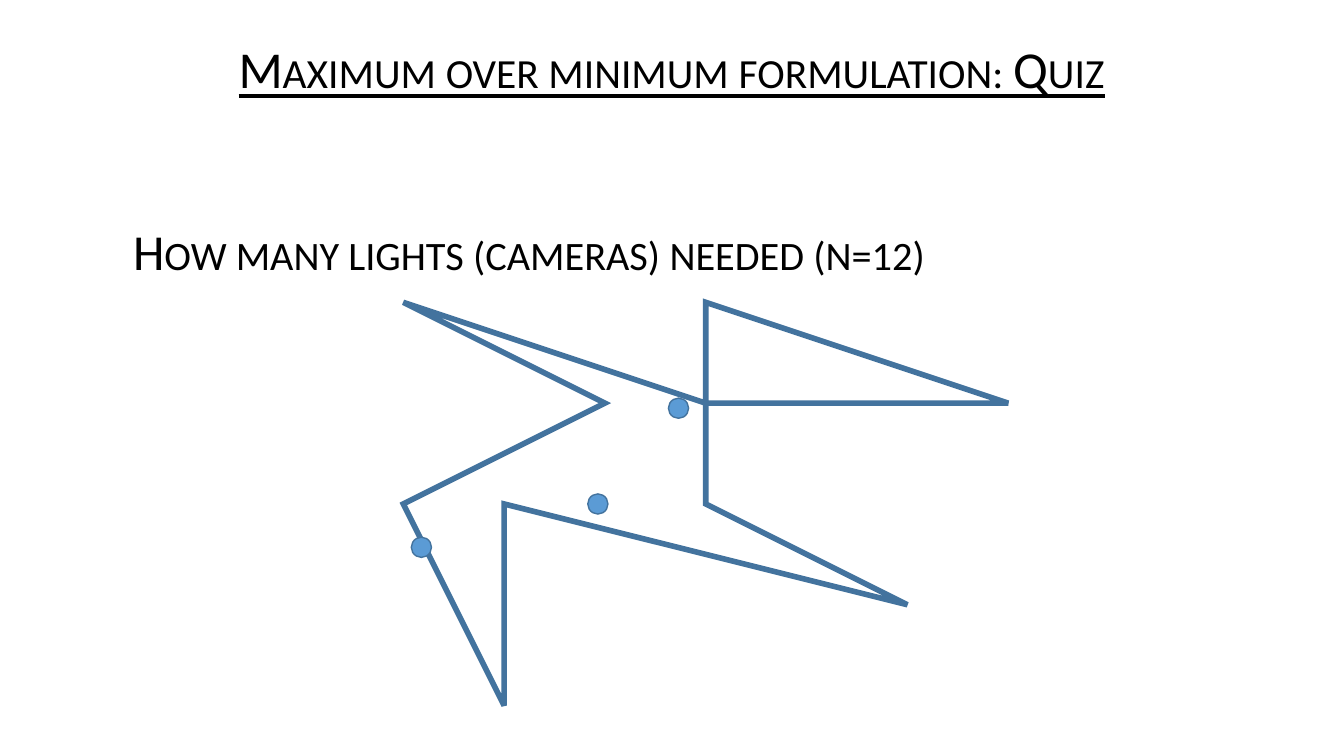
from lxml import etree
from pptx import Presentation, util as u
from pptx.dml.color import RGBColor
from pptx.enum import shapes, text
from pptx.oxml import ns

BLACK = RGBColor(0x00, 0x00, 0x00)
BLUE = RGBColor(0x5B, 0x9B, 0xD5)
OUTLINE = RGBColor(0x43, 0x73, 0x9E)
FONT = "Calibri"
WIDTH, HEIGHT = 13.33, 7.5

TITLE = "Maximum over minimum formulation: Quiz"
QUESTION = "How many lights (cameras) needed (n=12)"
TITLE_BOX = (1.74, 0.29, 9.84, 0.85)
QUESTION_BOX = (0.72, 1.32, 11.89, 5.28)
GALLERY_CORNERS = [
    (3.82, 2.91), (5.98, 3.99), (3.81, 5.24), (4.97, 7.09),
    (4.55, 5.58), (5.38, 5.24), (9.35, 5.55), (6.73, 4.93),
    (6.71, 4.16), (9.52, 3.66), (6.57, 3.31), (6.71, 3.99),
]
LIGHT_CENTERS = [(6.73, 4.05), (5.93, 5.0), (4.18, 5.43)]
LIGHT_SIZE = 0.2


def write_text(shape, content, box, size, align, anchor, underline=False,
               line_spacing=1.0, indent=0, top_margin=0.05):
    shape.left, shape.top, shape.width, shape.height = map(u.Inches, box)
    frame = shape.text_frame
    frame.word_wrap = True
    frame.auto_size = text.MSO_AUTO_SIZE.NONE
    frame.vertical_anchor = anchor
    frame.margin_top = u.Inches(top_margin)
    paragraph = frame.paragraphs[0]
    paragraph.alignment = align
    paragraph.line_spacing = line_spacing
    paragraph.space_before = u.Pt(0)
    properties = paragraph._p.get_or_add_pPr()
    properties.set("marL", str(u.Inches(indent)))
    properties.set("indent", "0")
    etree.SubElement(properties, ns.qn("a:buNone"))
    run = paragraph.add_run()
    run.text = content
    run.font.name = FONT
    run.font.size = u.Pt(size)
    run.font.color.rgb = BLACK
    run.font.underline = underline
    run._r.get_or_add_rPr().set("cap", "small")


def set_outline(shape, width):
    shape.shadow.inherit = False
    shape.line.color.rgb = OUTLINE
    shape.line.width = u.Pt(width)
    line = shape.line._get_or_add_ln()
    etree.SubElement(line, ns.qn("a:miter")).set("lim", "800000")


def draw_gallery(slide):
    first, *others = GALLERY_CORNERS
    builder = slide.shapes.build_freeform(*first, scale=u.Inches(1))
    builder.add_line_segments(others, close=True)
    gallery = builder.convert_to_shape()
    gallery.fill.background()
    set_outline(gallery, 4)


def draw_light(slide, x, y):
    box = (x - LIGHT_SIZE / 2, y - LIGHT_SIZE / 2, LIGHT_SIZE, LIGHT_SIZE)
    light = slide.shapes.add_shape(shapes.MSO_SHAPE.OVAL, *map(u.Inches, box))
    light.fill.solid()
    light.fill.fore_color.rgb = BLUE
    set_outline(light, 1)


def main():
    presentation = Presentation()
    presentation.slide_width = u.Inches(WIDTH)
    presentation.slide_height = u.Inches(HEIGHT)
    slide = presentation.slides.add_slide(presentation.slide_layouts[1])
    write_text(slide.shapes.title, TITLE, TITLE_BOX, 37, text.PP_ALIGN.CENTER,
               text.MSO_ANCHOR.MIDDLE, underline=True, line_spacing=0.9)
    write_text(slide.placeholders[1], QUESTION, QUESTION_BOX, 36, text.PP_ALIGN.LEFT,
               text.MSO_ANCHOR.TOP, indent=0.5, top_margin=0.86)
    draw_gallery(slide)
    for x, y in LIGHT_CENTERS:
        draw_light(slide, x, y)
    presentation.save("out.pptx")


if __name__ == "__main__":
    main()
